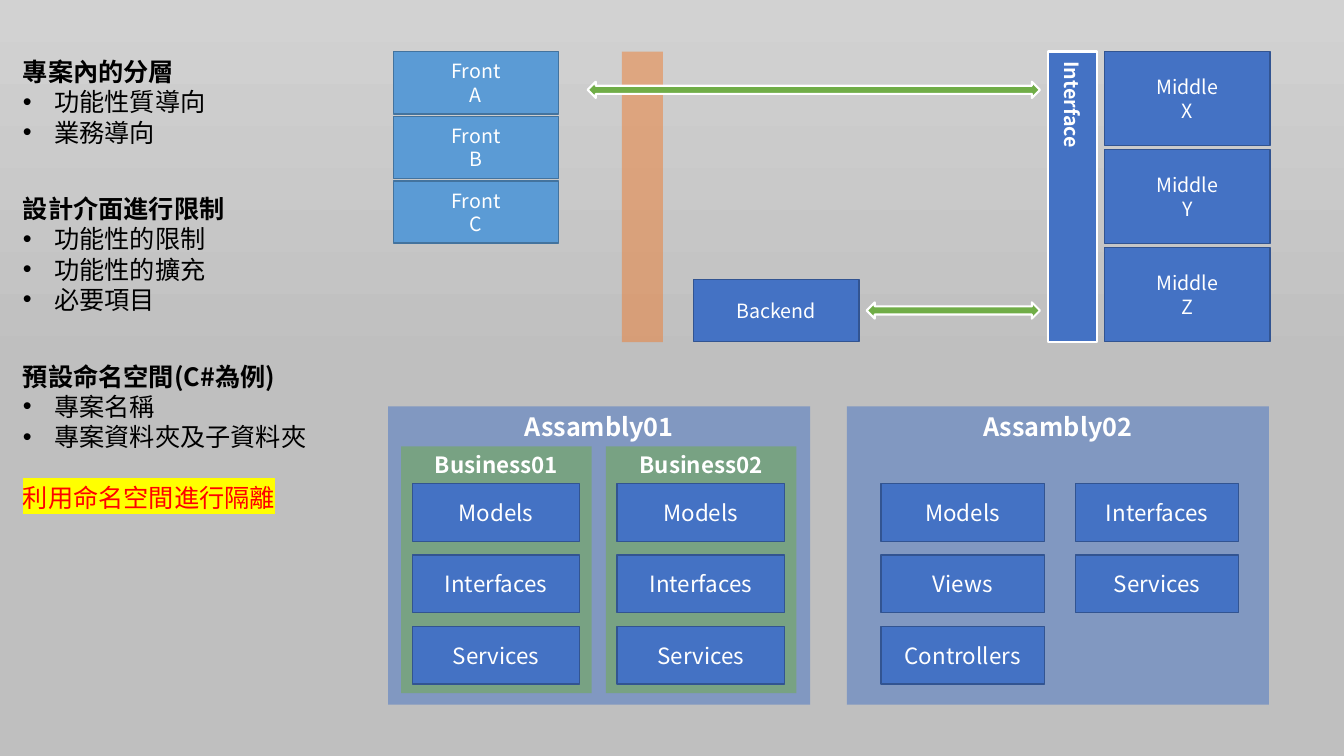
"""Build the slide on project layers, interfaces and namespaces."""
from copy import deepcopy

from lxml import etree
from pptx import Presentation
from pptx import util as u
from pptx.dml.color import RGBColor
from pptx.enum import shapes, text
from pptx.oxml.ns import qn

FONT = "Noto Sans CJK SC"
WHITE = RGBColor(0xFF, 0xFF, 0xFF)
BLACK = RGBColor(0x00, 0x00, 0x00)
RED = RGBColor(0xFF, 0x00, 0x00)
YELLOW = RGBColor(0xFF, 0xFF, 0x00)
BLUE = RGBColor(0x44, 0x72, 0xC4)
DARK_BLUE = RGBColor(0x32, 0x54, 0x91)
LIGHT_BLUE = RGBColor(0x5B, 0x9B, 0xD5)
STEEL_BLUE = RGBColor(0x43, 0x73, 0x9E)
GREEN = RGBColor(0x70, 0xAD, 0x47)
ORANGE = RGBColor(0xED, 0x7D, 0x31)
BACKGROUND_STOPS = [
    (0, RGBColor(0xD2, 0xD2, 0xD2)),
    (0.5, RGBColor(0xBF, 0xBF, 0xBF)),
    (1, RGBColor(0xC0, 0xC0, 0xC0)),
]

TOP = 1.3
LAYER_HEIGHT = 7.32
BLOCK_WIDTH, BLOCK_HEIGHT = 4.17, 1.57
ARROW_HEIGHT = 0.41
ASSEMBLY_TOP = 10.24
MODULE_TOP, MODULE_PITCH, MODULE_HEIGHT = 12.19, 1.8, 1.45


def paint_background(slide):
    """Fill the background with a downward three-stop gradient."""
    fill = slide.background.fill
    fill.gradient()
    fill.gradient_angle = 270
    stop_list = slide.element.find(".//" + qn("a:gsLst"))
    stop_list.append(deepcopy(stop_list[0]))
    for stop, (position, color) in zip(fill.gradient_stops, BACKGROUND_STOPS):
        stop.position = position
        stop.color.rgb = color


def write_text(paragraph, content, *, size, color=WHITE, bold=False,
               align=text.PP_ALIGN.CENTER, bullet=False, highlight=None, before=0):
    """Write one formatted run into a paragraph."""
    paragraph.alignment = align
    paragraph.line_spacing = u.Pt(size * 1.2)
    paragraph.space_before = u.Pt(before)
    run = paragraph.add_run()
    run.text = content
    font = run.font
    font.size, font.bold, font.name = u.Pt(size), bold, FONT
    font.color.rgb = color
    properties = run.font._element
    etree.SubElement(properties, qn("a:ea"), typeface=FONT)
    if highlight is not None:
        mark = etree.Element(qn("a:highlight"))
        etree.SubElement(mark, qn("a:srgbClr"), val=str(highlight))
        properties.find(qn("a:solidFill")).addnext(mark)
    if bullet:
        indent = u.Cm(0.79)
        settings = paragraph._p.get_or_add_pPr()
        settings.set("marL", str(indent))
        settings.set("indent", str(-indent))
        etree.SubElement(settings, qn("a:buFont"), typeface="Arial")
        etree.SubElement(settings, qn("a:buChar"), char="•")


def add_block(group, left, top, width, height, lines=(), *, fill=BLUE, line=DARK_BLUE,
              line_width=1, alpha=None, size=14, bold=False, vertical=False,
              anchor=text.MSO_ANCHOR.MIDDLE, kind=shapes.MSO_SHAPE.RECTANGLE):
    """Add a filled shape with optional centred lines of text."""
    shape = group.shapes.add_shape(kind, u.Cm(left), u.Cm(top), u.Cm(width), u.Cm(height))
    shape.shadow.inherit = False
    shape.fill.solid()
    shape.fill.fore_color.rgb = fill
    if alpha is not None:
        color = shape.element.spPr.find(qn("a:solidFill"))[0]
        etree.SubElement(color, qn("a:alpha"), val=str(alpha * 1000))
    if line is None:
        shape.line.fill.background()
    else:
        shape.line.color.rgb = line
        shape.line.width = u.Pt(line_width)
    frame = shape.text_frame
    frame.vertical_anchor = anchor
    if vertical:
        frame._txBody.bodyPr.set("vert", "eaVert")
    for index, content in enumerate(lines):
        paragraph = frame.add_paragraph() if index else frame.paragraphs[0]
        write_text(paragraph, content, size=size, bold=bold)
    return shape


def add_arrow(group, left, top, width):
    """Add a white-edged green double arrow."""
    add_block(group, left, top, width, ARROW_HEIGHT, fill=GREEN, line=WHITE,
              line_width=1.5, kind=shapes.MSO_SHAPE.LEFT_RIGHT_ARROW)


def add_stack(group, left, width, names):
    """Add a column of module boxes at an equal pitch."""
    for row, name in enumerate(names):
        add_block(group, left, MODULE_TOP + row * MODULE_PITCH, width, MODULE_HEIGHT,
                  [name], size=16)


def add_container(group, left, top, width, height, title, **options):
    """Add a translucent container titled at its top."""
    add_block(group, left, top, width, height, [title], line=None, alpha=50, bold=True,
              anchor=text.MSO_ANCHOR.TOP, **options)


def add_assembly(slide, left, title):
    """Add a group that holds one assembly panel and return it."""
    group = slide.shapes.add_group_shape()
    add_container(group, left, ASSEMBLY_TOP, 10.64, 7.52, title, size=18)
    return group


def add_topic(slide, top, width, height, heading, points, conclusion=None):
    """Add a bold heading with bullet points and an optional highlighted conclusion."""
    box = slide.shapes.add_textbox(u.Cm(0.33), u.Cm(top), u.Cm(width), u.Cm(height))
    frame = box.text_frame
    frame.word_wrap = False
    frame.auto_size = text.MSO_AUTO_SIZE.SHAPE_TO_FIT_TEXT
    style = {"size": 18, "color": BLACK, "align": text.PP_ALIGN.LEFT}
    write_text(frame.paragraphs[0], heading, bold=True, **style)
    for point in points:
        write_text(frame.add_paragraph(), point, bullet=True, **style)
    if conclusion:
        style["color"] = RED
        write_text(frame.add_paragraph(), conclusion, highlight=YELLOW, before=21.6, **style)


def add_layers(slide):
    """Add the front, backend, interface and middle layers."""
    group = slide.shapes.add_group_shape()
    add_block(group, 15.67, TOP, 1.04, LAYER_HEIGHT, fill=ORANGE, line=None, alpha=50)
    for row, name in enumerate("ABC"):
        add_block(group, 9.91, TOP + row * 1.63, BLOCK_WIDTH, BLOCK_HEIGHT,
                  ["Front", name], fill=LIGHT_BLUE, line=STEEL_BLUE)
    add_arrow(group, 14.81, 2.06, 11.4)
    for row, name in enumerate("XYZ"):
        add_block(group, 27.84, TOP + row * 2.47, BLOCK_WIDTH, 2.37, ["Middle", name])
    add_block(group, 26.42, TOP, 1.22, LAYER_HEIGHT, ["Interface"], line=WHITE,
              line_width=1.5, bold=True, vertical=True)
    add_block(group, 17.48, 7.04, BLOCK_WIDTH, BLOCK_HEIGHT, ["Backend"])
    add_arrow(group, 21.84, 7.62, 4.37)


def add_assemblies(slide):
    """Add the assembly split by technical role and the one split by business."""
    by_role = add_assembly(slide, 21.34, "Assambly02")
    add_stack(by_role, 22.2, 4.12, ["Models", "Views", "Controllers"])
    add_stack(by_role, 27.1, 4.12, ["Interfaces", "Services"])
    by_business = add_assembly(slide, 9.78, "Assambly01")
    for left, title in [(10.11, "Business01"), (15.27, "Business02")]:
        add_container(by_business, left, 11.25, 4.8, 6.22, title, fill=GREEN, size=16)
        add_stack(by_business, left + 0.28, 4.22, ["Models", "Interfaces", "Services"])


def main():
    """Build and save the presentation."""
    presentation = Presentation()
    presentation.slide_width, presentation.slide_height = u.Cm(33.87), u.Cm(19.05)
    slide = presentation.slides.add_slide(presentation.slide_layouts[6])
    paint_background(slide)
    add_layers(slide)
    add_topic(slide, TOP, 5.16, 2.57, "專案內的分層", ["功能性質導向", "業務導向"])
    add_topic(slide, 4.75, 5.64, 3.33, "設計介面進行限制",
              ["功能性的限制", "功能性的擴充", "必要項目"])
    add_topic(slide, 8.97, 7.72, 4.11, "預設命名空間(C#為例)",
              ["專案名稱", "專案資料夾及子資料夾"], "利用命名空間進行隔離")
    add_assemblies(slide)
    presentation.save("out.pptx")


if __name__ == "__main__":
    main()
